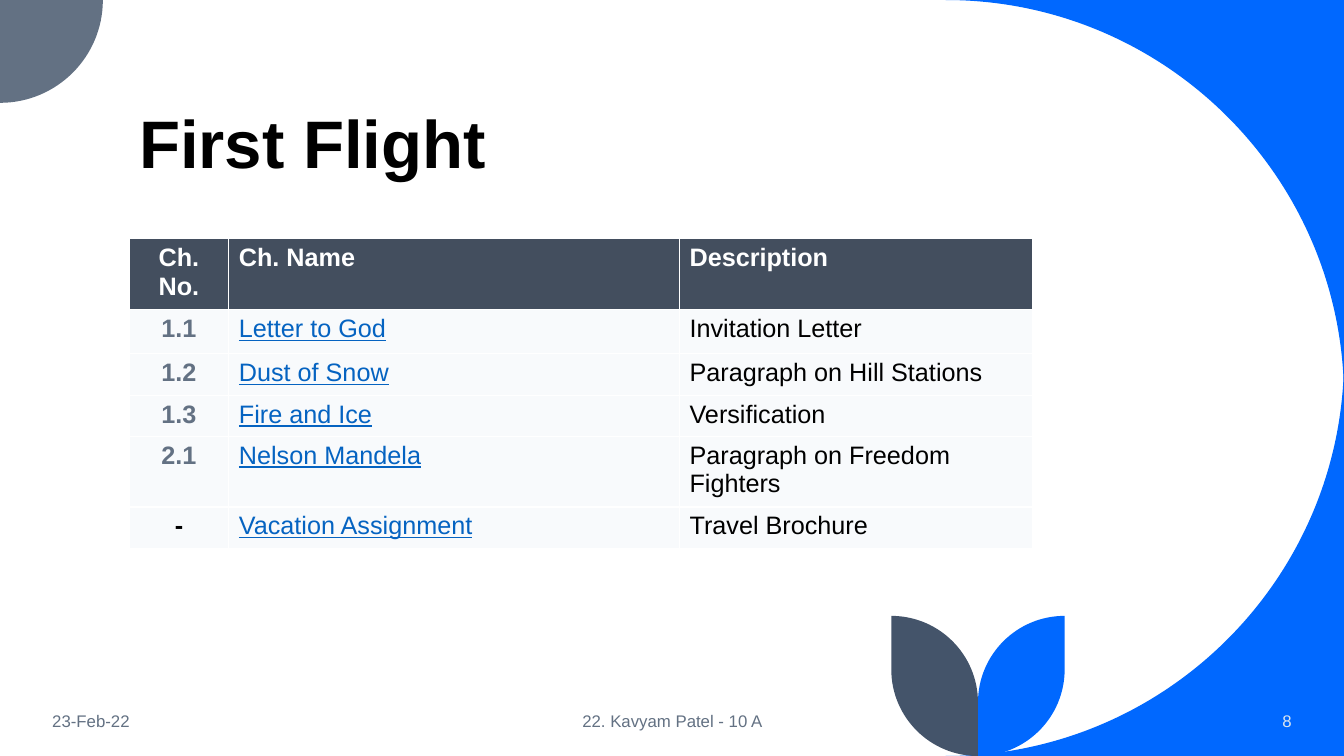
import lxml.etree
import pptx
import pptx.util
import pptx.dml.color
import pptx.enum.text
import pptx.oxml.ns

Inches = pptx.util.Inches
ALIGN = pptx.enum.text.PP_ALIGN
ANCHOR = pptx.enum.text.MSO_ANCHOR
qn = pptx.oxml.ns.qn
BLUE, SLATE, GREY = "0068FF", "44546A", "637183"
ROUNDNESS = 0.5523  # Bezier handle length for a quarter circle


def rgb(color):
    return pptx.dml.color.RGBColor.from_string(color)


def write(para, text, size, color, align=ALIGN.LEFT, bold=False, underline=False):
    para.alignment = align
    run = para.add_run()
    run.text = text
    run.font.name = "Arial"
    run.font.size = pptx.util.Pt(size)
    run.font.bold = bold
    run.font.underline = underline
    run.font.color.rgb = rgb(color)


deck = pptx.Presentation()
deck.slide_width = Inches(13.33)
deck.slide_height = Inches(7.5)
page = deck.slides.add_slide(deck.slide_layouts[5])

# Each outline: colour, vertices, and {segment number: corner that its curve bends toward}
outlines = [
    (BLUE, [(13.33, 0), (9.38, 0), (13.33, 3.95)], {1: (13.33, 0)}),
    (BLUE, [(13.33, 3.55), (9.38, 7.5), (13.33, 7.5)], {0: (13.33, 7.5)}),
    (GREY, [(0, 0), (1.02, 0), (0, 1.02)], {1: (1.02, 1.02)}),
]
stem = 9.7
for color, side in [(BLUE, 0.86), (SLATE, -0.86)]:
    tip = stem + side
    outlines.append((color, [(tip, 6.11), (tip, 6.64), (stem, 7.5), (stem, 6.97), (tip, 6.11)],
                     {1: (tip, 7.5), 3: (stem, 6.11)}))

for color, vertices, bends in outlines:
    points = [(Inches(x), Inches(y)) for x, y in vertices]
    builder = page.shapes.build_freeform(*points[0], scale=1.0)
    builder.add_line_segments(points[1:], close=True)
    decoration = builder.convert_to_shape()
    decoration.shadow.inherit = False
    decoration.fill.solid()
    decoration.fill.fore_color.rgb = rgb(color)
    decoration.line.fill.background()
    segments = list(decoration.element.iter(qn("a:lnTo")))
    for number, corner in bends.items():
        curve = lxml.etree.Element(qn("a:cubicBezTo"))
        bend = (Inches(corner[0]), Inches(corner[1]))
        start, end = points[number], points[number + 1]
        handles = [[p + ROUNDNESS * (b - p) for p, b in zip(point, bend)]
                   for point in (start, end)]
        for x, y in handles + [end]:
            lxml.etree.SubElement(curve, qn("a:pt"), x=str(round(x - decoration.left)),
                                  y=str(round(y - decoration.top)))
        segments[number].getparent().replace(segments[number], curve)

# Title
title = page.shapes.title
title.left, title.top = Inches(1.28), Inches(0.42)
title.width, title.height = Inches(10.69), Inches(1.45)
title.text_frame.vertical_anchor = ANCHOR.BOTTOM
title.text_frame.paragraphs[0].line_spacing = 0.9
write(title.text_frame.paragraphs[0], "First Flight", 48, "000000", bold=True)

# Footer
footers = [
    (0.42, 3, "23-Feb-22", GREY, ALIGN.LEFT),
    (4.42, 4.5, "22. Kavyam Patel - 10 A", GREY, ALIGN.CENTER),
    (11.1, 1.81, "8", "DAE5EF", ALIGN.RIGHT),
]
for left, width, text, color, align in footers:
    box = page.shapes.add_textbox(Inches(left), Inches(6.95), Inches(width), Inches(0.4))
    box.text_frame.word_wrap = True
    box.text_frame.vertical_anchor = ANCHOR.MIDDLE
    write(box.text_frame.paragraphs[0], text, 12, color, align)

# Chapter table
chapters = [
    ("Ch. No.", "Ch. Name", "Description"),
    ("1.1", "Letter to God", "Invitation Letter"),
    ("1.2", "Dust of Snow", "Paragraph on Hill Stations"),
    ("1.3", "Fire and Ice", "Versification"),
    ("2.1", "Nelson Mandela", "Paragraph on Freedom Fighters"),
    ("-", "Vacation Assignment", "Travel Brochure"),
]
column_widths = [0.99, 4.47, 3.5]
table_frame = page.shapes.add_table(len(chapters), len(column_widths), Inches(1.28),
                                    Inches(2.37), Inches(8.96), Inches(2.77))
table = table_frame.table
table.first_col = True
table.horz_banding = False
for column, width in zip(table.columns, column_widths):
    column.width = Inches(width)
for row_number, chapter in enumerate(chapters):
    table.rows[row_number].height = Inches(0.44 if row_number == 1 else 0.41)
    header = row_number == 0
    number_color = "000000" if chapter[0] == "-" else GREY
    body_colors = [number_color, "0563C1", "000000"]
    for column_number, text in enumerate(chapter):
        cell = table.cell(row_number, column_number)
        cell.fill.solid()
        cell.fill.fore_color.rgb = rgb("434E5E" if header else "F8FAFC")
        write(cell.text_frame.paragraphs[0], text, 18,
              "FFFFFF" if header else body_colors[column_number],
              ALIGN.CENTER if column_number == 0 else ALIGN.LEFT,
              bold=header or column_number == 0,
              underline=not header and column_number == 1)
table_frame.height = Inches(2.77)

deck.save("out.pptx")
